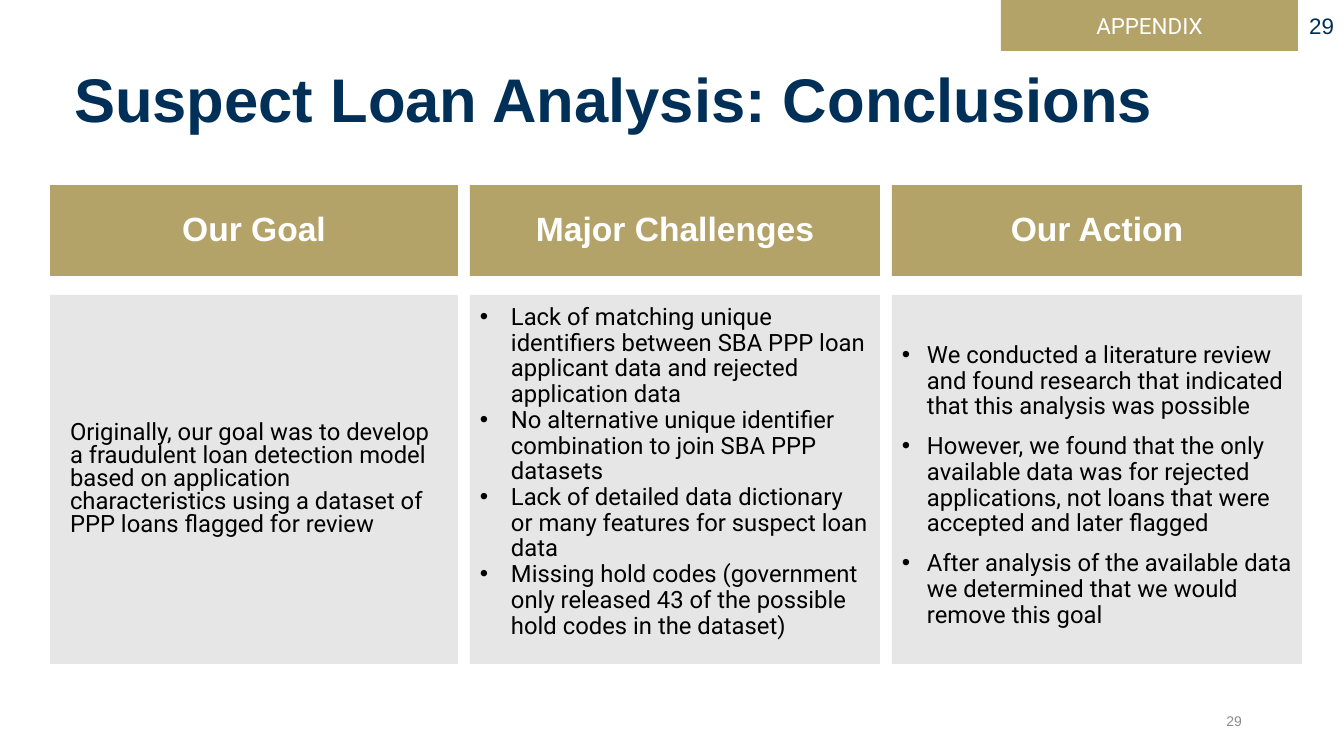
"""Build the suspect loan conclusions slide."""
import pptx
import pptx.util
import pptx.dml.color
import pptx.enum.shapes
import pptx.enum.text
import pptx.oxml.ns
from lxml import etree

ALIGN = pptx.enum.text.PP_ALIGN
ANCHOR = pptx.enum.text.MSO_ANCHOR


class Deck:
    """Hold the style and the current slide."""

    colors = {
        "gold": "B3A369",
        "gray": "E7E6E6",
        "navy": "003057",
        "dim": "8C8C8C",
        "white": "FFFFFF",
        "black": "000000",
    }
    scale = 12192000 / 1344

    def __init__(self):
        self.show = pptx.Presentation()
        self.show.slide_width = self.px(1344)
        self.show.slide_height = self.px(756)
        self.slide = self.show.slides.add_slide(self.show.slide_layouts[6])

    def px(self, num):
        return pptx.util.Emu(round(num * self.scale))

    def color(self, name):
        return pptx.dml.color.RGBColor.from_string(self.colors[name])

    def rect(self, box, fill):
        kind = pptx.enum.shapes.MSO_SHAPE.RECTANGLE
        shape = self.slide.shapes.add_shape(kind, *map(self.px, box))
        shape.shadow.inherit = False
        shape.fill.solid()
        shape.fill.fore_color.rgb = self.color(fill)
        shape.line.fill.background()
        return shape

    def label(self, box):
        return self.slide.shapes.add_textbox(*map(self.px, box))

    def bullet(self, para, indent):
        props = para._p.get_or_add_pPr()
        props.set("marL", str(self.px(indent)))
        props.set("indent", str(-self.px(indent)))
        font = etree.SubElement(props, pptx.oxml.ns.qn("a:buFont"))
        font.set("typeface", "Arial")
        mark = etree.SubElement(props, pptx.oxml.ns.qn("a:buChar"))
        mark.set("char", "•")

    def text(self, shape, lines, size, color, font="Arial", bold=False,
             align=ALIGN.LEFT, anchor=ANCHOR.MIDDLE, inset=(10, 5, 10, 5),
             space=1.0, gap=0, indent=0):
        frame = shape.text_frame
        frame.word_wrap = True
        frame.vertical_anchor = anchor
        (frame.margin_left, frame.margin_top,
         frame.margin_right, frame.margin_bottom) = map(self.px, inset)
        for num, line in enumerate(lines):
            para = frame.add_paragraph() if num else frame.paragraphs[0]
            para.text = line
            para.alignment = align
            para.line_spacing = space
            if num and gap:
                para.space_before = pptx.util.Pt(gap)
            if indent:
                self.bullet(para, indent)
            para.font.size = pptx.util.Pt(size)
            para.font.name = font
            para.font.bold = bold
            para.font.color.rgb = self.color(color)

    def column(self, left, width, head, lines, **style):
        bar = self.rect((left, 185, width, 91), "gold")
        self.text(bar, [head], 24, "white", bold=True,
                  align=ALIGN.CENTER, space=0.9)
        body = self.rect((left, 295, width, 369), "gray")
        self.text(body, lines, 17, "black", "Roboto", **style)


GOAL = [
    "Originally, our goal was to develop a fraudulent loan detection model "
    "based on application characteristics using a dataset of PPP loans "
    "flagged for review",
]
ISSUES = [
    "Lack of matching unique identifiers between SBA PPP loan applicant "
    "data and rejected application data",
    "No alternative unique identifier combination to join SBA PPP datasets",
    "Lack of detailed data dictionary or many features for suspect loan data",
    "Missing hold codes (government only released 43 of the possible "
    "hold codes in the dataset)",
]
ACTION = [
    "We conducted a literature review and found research that indicated "
    "that this analysis was possible",
    "However, we found that the only available data was for rejected "
    "applications, not loans that were accepted and later flagged",
    "After analysis of the available data we determined that we would "
    "remove this goal",
]


def main():
    deck = Deck()
    deck.column(50, 408, "Our Goal", GOAL, inset=(20, 10, 10, 10), space=0.8)
    deck.column(470, 410, "Major Challenges", ISSUES, anchor=ANCHOR.TOP,
                inset=(10, 10, 10, 10), space=0.9, indent=31)
    deck.column(892, 410, "Our Action", ACTION, anchor=ANCHOR.TOP,
                inset=(10, 48, 10, 5), space=0.9, gap=10, indent=25)
    deck.text(deck.label((950, 701, 302, 40)), ["29"], 10, "dim",
              align=ALIGN.RIGHT)
    deck.text(deck.rect((1001, 0, 297, 51), "gold"), ["APPENDIX"], 16,
              "white", "Roboto", align=ALIGN.CENTER)
    deck.text(deck.label((64, 30, 1159, 146)),
              ["Suspect Loan Analysis: Conclusions"], 44, "navy",
              bold=True, space=0.9)
    deck.text(deck.label((1019, 0, 325, 51)), ["29"], 16, "navy",
              align=ALIGN.RIGHT)
    deck.show.save("out.pptx")


if __name__ == "__main__":
    main()
